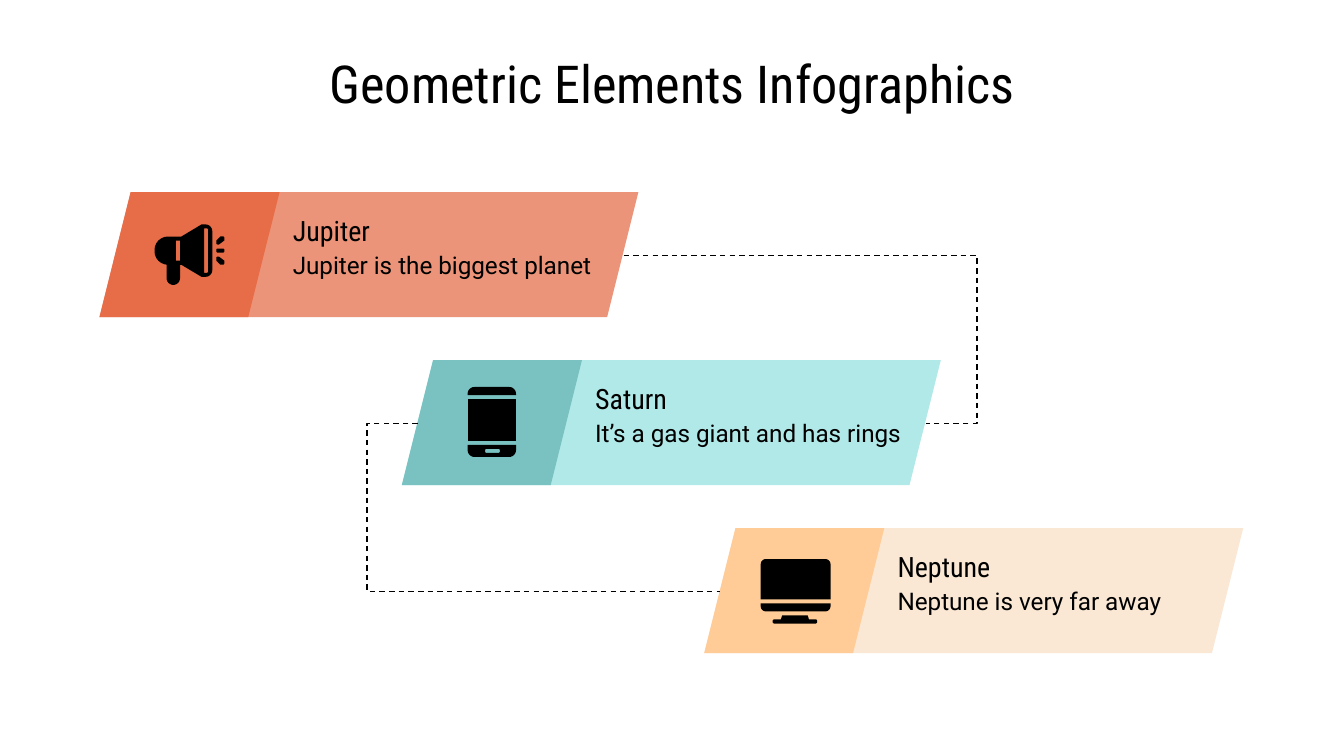
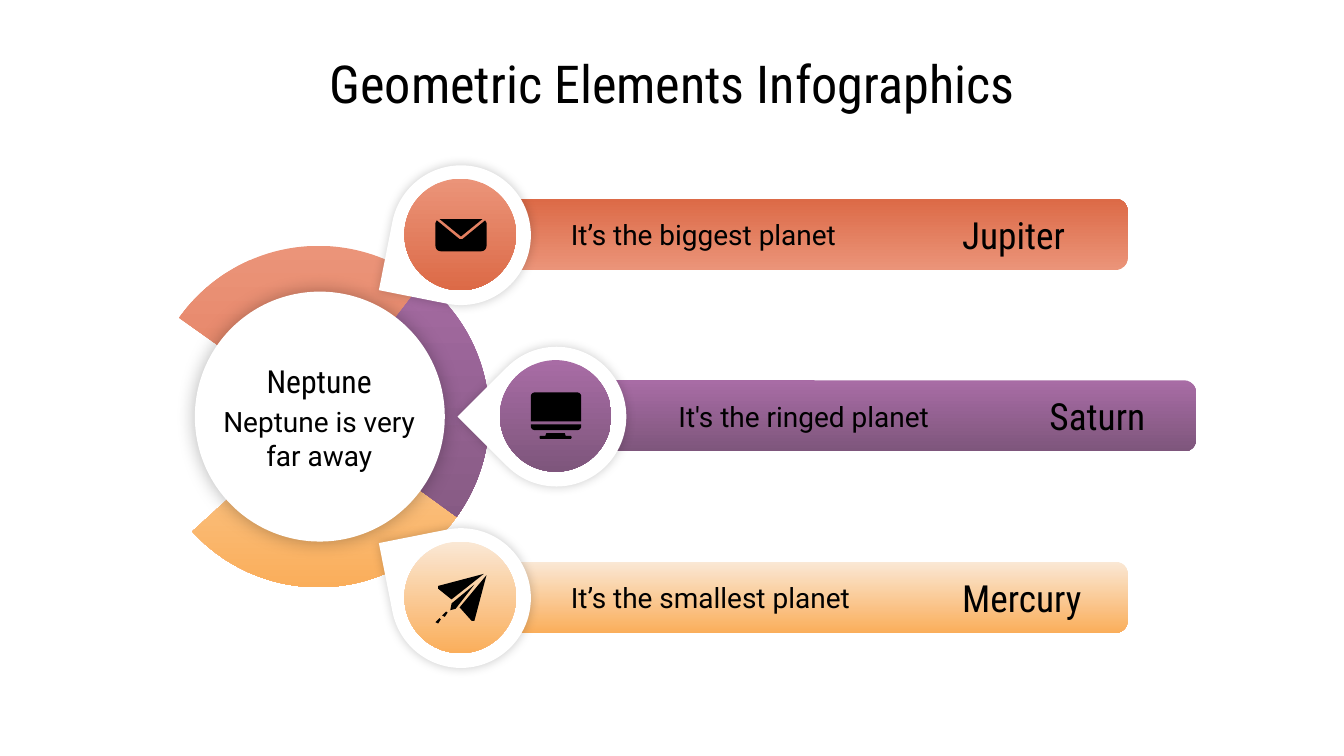
import math

import pptx
import pptx.dml.color
import pptx.enum.dml
import pptx.enum.shapes
import pptx.enum.text
import pptx.oxml
import pptx.oxml.ns
import pptx.util
from lxml import etree

MSO = pptx.enum.shapes.MSO_SHAPE
ALIGN = pptx.enum.text.PP_ALIGN
ANCHOR = pptx.enum.text.MSO_ANCHOR
qn = pptx.oxml.ns.qn

COLORS = {
    "black": "000000",
    "white": "FFFFFF",
    "coral": "E76D48",
    "coral_light": "EB9479",
    "coral_deep": "DC6A47",
    "teal": "79C2C1",
    "teal_light": "B1E9E8",
    "peach": "FFCC97",
    "peach_light": "FAE8D5",
    "orange": "FAAE5B",
    "purple": "A86CA5",
    "purple_deep": "7E567C",
}


def box(x, y, w, h, r=0):
    """Return the corners of a rectangle, each with the corner radius r."""
    return [(x, y, r), (x + w, y, r), (x + w, y + h, r), (x, y + h, r)]


ICONS = {
    "megaphone": [
        [box(46, 18, 6, 3, 1)],
        [[(49, 9), (46, 12), (46, 15, 1), (48, 15), (52, 12), (52, 9, 1)]],
        [[(48, 24), (52, 27), (52, 30, 1), (49, 30), (46, 27), (46, 24, 1)]],
        [
            [(35, 0), (20, 9), (0, 9, 10), (0, 30, 10), (9, 30), (9, 45, 5),
             (19, 45, 5), (19, 30), (20, 30), (35, 39), (43, 39, 5), (43, 0, 5)],
            box(16, 12, 3, 15),
            [(37, 3), (40, 3, 1), (40, 36, 1), (37, 36)],
        ],
    ],
    "phone": [
        [[(0, 6), (0, 0, 5), (36, 0, 5), (36, 6)]],
        [box(0, 9, 36, 31)],
        [[(0, 43), (0, 52, 5), (36, 52, 5), (36, 43)], box(13, 46, 11, 3, 1)],
    ],
    "monitor": [
        [[(16, 42), (15, 45), (9, 45, 1), (9, 48, 1), (42, 48, 1), (42, 45, 1),
          (36, 45), (35, 42)]],
        [[(0, 33), (0, 39, 4), (52, 39, 4), (52, 33)]],
        [[(0, 30), (0, 0, 4), (52, 0, 4), (52, 30)]],
    ],
    "envelope": [
        [[(1, 1), (0, 3), (0, 24, 4), (38, 24, 4), (38, 3), (37, 1), (20, 15), (18, 15)]],
        [[(3, 0), (19, 13), (35, 0)]],
    ],
    "plane": [
        [[(3, 33), (0, 36), (2, 37), (4, 34)]],
        [[(8, 28), (5, 31), (7, 32), (9, 29)]],
        [[(36, 0), (2, 9), (2, 11), (12, 19)]],
        [[(38, 1), (18, 25), (27, 35), (29, 35)]],
        [[(29, 8), (12, 22), (11, 27), (15, 26)]],
    ],
}


def rounded(corners):
    """Return the points of a closed outline with its corners rounded."""
    points = []
    for i, (x, y, *radius) in enumerate(corners):
        r = radius[0] if radius else 0
        if not r:
            points.append((x, y))
            continue
        ends = []
        for nx, ny, *_ in (corners[i - 1], corners[(i + 1) % len(corners)]):
            k = r / math.hypot(nx - x, ny - y)
            ends.append((x + (nx - x) * k, y + (ny - y) * k))
        (ax, ay), (bx, by) = ends
        for step in range(7):
            t = step / 6
            a, m, b = (1 - t) ** 2, math.sqrt(2) * t * (1 - t), t * t
            total = a + m + b
            points.append(((a * ax + m * x + b * bx) / total, (a * ay + m * y + b * by) / total))
    return points


class Deck:
    """Holds the style and the slide being drawn."""

    SCALE = 9144
    BODY = "Roboto"
    HEAD = "Roboto Condensed"

    def __init__(self, width):
        self.prs = pptx.Presentation()
        self.prs.slide_width = self.px(width)
        self.prs.slide_height = self.px(width * 9 / 16)
        self.s = None

    def px(self, n):
        return pptx.util.Emu(round(n * self.SCALE))

    def rgb(self, name):
        return pptx.dml.color.RGBColor.from_string(COLORS[name])

    def new_slide(self, title):
        self.s = self.prs.slides.add_slide(self.prs.slide_layouts[6])
        self.text(title, 39, 28, 922, 63, 28, self.HEAD, ALIGN.CENTER, ANCHOR.TOP)

    def paint(self, sp, fill, angle=270):
        if isinstance(fill, tuple):
            sp.fill.gradient()
            sp.fill.gradient_angle = angle
            for stop, name in zip(sp.fill.gradient_stops, fill):
                stop.color.rgb = self.rgb(name)
        else:
            sp.fill.solid()
            sp.fill.fore_color.rgb = self.rgb(fill)
        sp.line.fill.background()
        sp.shadow.inherit = False

    def shape(self, kind, x, y, w, h, fill, adj=(), angle=270, rotation=0):
        sp = self.s.shapes.add_shape(kind, *map(self.px, (x, y, w, h)))
        for i, value in enumerate(adj):
            sp.adjustments[i] = value
        sp.rotation = rotation
        self.paint(sp, fill, angle)
        return sp

    def glow(self, sp, alpha, blur):
        effects = sp._element.spPr.find(qn("a:effectLst"))
        shadow = etree.SubElement(effects, qn("a:outerShdw"), blurRad=str(pptx.util.Pt(blur)),
                                  dist="0", dir="0", algn="ctr", rotWithShape="0")
        color = etree.SubElement(shadow, qn("a:srgbClr"), val=COLORS["black"])
        etree.SubElement(color, qn("a:alpha"), val=str(alpha * 1000))

    def text(self, words, x, y, w, h, size, font, align=ALIGN.LEFT, anchor=ANCHOR.MIDDLE):
        tf = self.s.shapes.add_textbox(*map(self.px, (x, y, w, h))).text_frame
        tf.word_wrap = True
        tf.vertical_anchor = anchor
        tf.margin_left = tf.margin_right = tf.margin_top = tf.margin_bottom = self.px(10)
        p = tf.paragraphs[0]
        p.text = words
        p.alignment = align
        p.font.size = pptx.util.Pt(size)
        p.font.name = font
        p.font.color.rgb = self.rgb("black")

    def icon(self, name, x, y, zoom=1):
        group = self.s.shapes.add_group_shape()
        for part in ICONS[name]:
            outlines = [[(self.px(x + px * zoom), self.px(y + py * zoom))
                         for px, py in rounded(corners)] for corners in part]
            builder = group.shapes.build_freeform(*outlines[0][0])
            for i, points in enumerate(outlines):
                if i:
                    builder.move_to(*points[0])
                builder.add_line_segments(points[1:], close=True)
            self.paint(builder.convert_to_shape(), "black")

    def elbow(self, x1, y1, x2, y2, bend):
        kind = pptx.enum.shapes.MSO_CONNECTOR.ELBOW
        line = self.s.shapes.add_connector(kind, *map(self.px, (x1, y1, x2, y2)))
        line.line.color.rgb = self.rgb("black")
        line.line.width = pptx.util.Pt(0.75)
        line.line.dash_style = pptx.enum.dml.MSO_LINE.DASH
        spPr = line._element.spPr
        etree.SubElement(spPr, qn("a:effectLst"))
        guides = spPr.find(qn("a:prstGeom")).find(qn("a:avLst"))
        etree.SubElement(guides, qn("a:gd"), name="adj1", fmla=f"val {bend}")


TITLE = "Geometric Elements Infographics"


def cards_slide(d):
    """Draw three stepped cards joined by dashed elbows."""
    cards = [
        ("Jupiter", "Jupiter is the biggest planet", "megaphone", 41, 24, "coral", "coral_light"),
        ("Saturn", "It’s a gas giant and has rings", "phone", 49, 20, "teal", "teal_light"),
        ("Neptune", "Neptune is very far away", "monitor", 42, 23, "peach", "peach_light"),
    ]
    d.new_slide(TITLE)
    for i, (name, fact, icon, dx, dy, dark, light) in enumerate(cards):
        x, y = 74 + 225 * i, 143 + 125 * i
        for width, fill in ((401, light), (134, dark)):
            d.shape(MSO.PARALLELOGRAM, x, y, width, 93, fill, [0.25])
        d.icon(icon, x + dx, y + dy)
        d.text(fact, x + 134, y + 30, 262, 48, 13, d.BODY)
        d.text(name, x + 134, y + 15, 262, 27, 15, d.HEAD)
    for x, y, bend in ((464, 190, 116800), (311, 315, -16800)):
        d.elbow(x, y, x + 225, y + 125, bend)


def wheel_slide(d):
    """Draw a wheel with three drops, each leading to a bar."""
    coral = ("coral_light", "coral_deep")
    purple = ("purple", "purple_deep")
    orange = ("peach_light", "orange")
    rows = [
        ("Jupiter", "It’s the biggest planet", coral, 90, (129.21, 184.56),
         359, 291, 191.2, 415, 706, "envelope", 30, 1),
        ("Saturn", "It's the ringed planet", purple, 270, (184.32, 21.55),
         410, 362, 225, 495, 771, "monitor", 24, 0.72),
        ("Mercury", "It’s the smallest planet", orange, 270, (19.77, 82.6),
         359, 291, 258.8, 415, 706, "plane", 24, 1),
    ]
    d.new_slide(TITLE)
    for _, _, fill, _, arc, *_ in reversed(rows):
        d.shape(MSO.PIE, 110, 183, 254, 254, fill, arc)
    d.glow(d.shape(MSO.OVAL, 145, 217, 186, 186, "white"), 28, 10.1)
    d.text("Neptune is very far away", 153, 302, 169, 48, 15, d.BODY, ALIGN.CENTER)
    d.text("Neptune", 153, 270, 169, 27, 17, d.HEAD, ALIGN.CENTER)
    for i, (name, fact, fill, angle, _, bar_x, drop_x, turn, fact_x, name_x,
            icon, icon_dy, zoom) in enumerate(rows):
        y = 148 + 135 * i
        d.shape(MSO.ROUNDED_RECTANGLE, bar_x, y, 480, 53, fill, [0.17], angle)
        d.glow(d.shape(MSO.TEAR, drop_x, y - 25, 104, 104, "white", [1], rotation=turn), 20, 5.6)
        d.shape(MSO.OVAL, drop_x + 10, y - 15, 83, 83, fill)
        d.icon(icon, drop_x + 33, y - 15 + icon_dy, zoom)
        d.text(fact, fact_x, y + 13, 257, 27, 15, d.BODY)
        d.text(name, name_x, y + 5, 118, 43, 20, d.HEAD)


def main():
    """Build both slides and save them."""
    d = Deck(1000)
    cards_slide(d)
    wheel_slide(d)
    d.prs.save("out.pptx")


if __name__ == "__main__":
    main()
